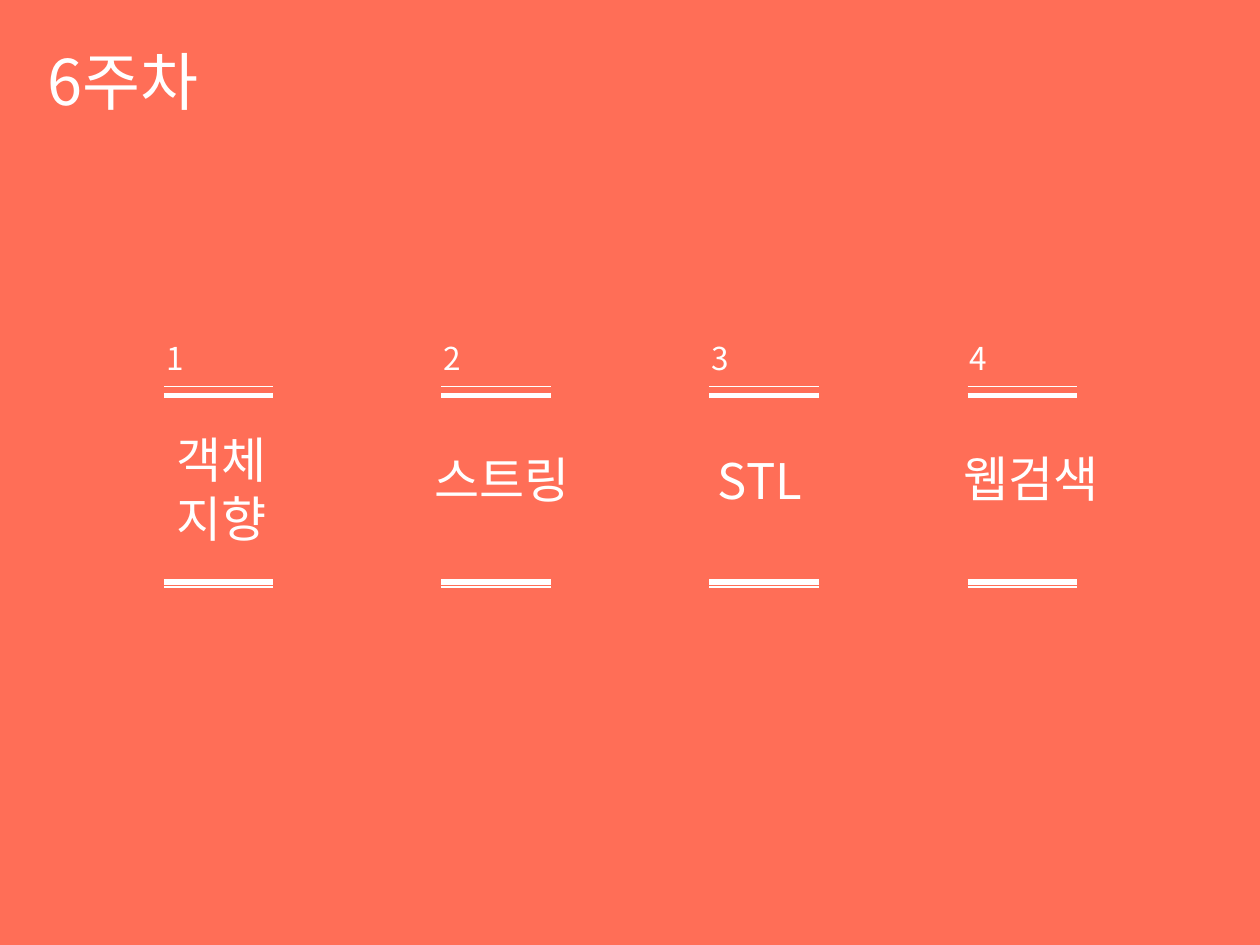
from pptx import Presentation
from pptx.dml.color import RGBColor
from pptx.enum.shapes import MSO_CONNECTOR, MSO_SHAPE
from pptx.enum.text import MSO_ANCHOR, MSO_AUTO_SIZE, PP_ALIGN
from pptx.oxml.ns import qn
from pptx.util import Inches, Pt
from lxml import etree

RECTANGLE = MSO_SHAPE.RECTANGLE
STRAIGHT = MSO_CONNECTOR.STRAIGHT
TOP = MSO_ANCHOR.TOP
LEFT = PP_ALIGN.LEFT
FIT_SHAPE = MSO_AUTO_SIZE.SHAPE_TO_FIT_TEXT

FONT = "Noto Sans CJK KR"
CORAL = "FF6E57"
WHITE = "FFFFFF"


def color(value):
    return RGBColor.from_string(value)


def write_text(box, text, left, top, width, height, size=28, fill=WHITE):
    box.left, box.top = Inches(left), Inches(top)
    box.width, box.height = Inches(width), Inches(height)
    frame = box.text_frame
    frame.word_wrap = True
    frame.auto_size = FIT_SHAPE
    frame.vertical_anchor = TOP
    para = frame.paragraphs[0]
    para.alignment = LEFT
    span = para.add_run()
    span.text = text
    span.font.size = Pt(size)
    span.font.name = FONT
    span.font.color.rgb = color(fill)
    # Korean letters take the East Asian font
    etree.SubElement(span.font._element, qn("a:ea"), typeface=FONT)


deck = Presentation()
deck.slide_width, deck.slide_height = Inches(10), Inches(7.5)
page = deck.slides.add_slide(deck.slide_layouts[5])
shapes = page.shapes

# Coral backdrop, placed behind the title
backdrop = shapes.add_shape(RECTANGLE, 0, 0, deck.slide_width, deck.slide_height)
backdrop.shadow.inherit = False
backdrop.fill.solid()
backdrop.fill.fore_color.rgb = color(CORAL)
backdrop.line.fill.background()
title = shapes.title
title._element.addprevious(backdrop._element)

# Title
write_text(title, "6주차", 0.28, 0.29, 3.39, 0.71, size=36)

# Topics: rule left, text, text left, text top, text width, text height
topics = [
    (1.3, "객체 지향", 1.3, 3.36, 0.98, 1.04),
    (3.5, "스트링", 3.35, 3.52, 1.42, 0.57),
    (5.63, "STL", 5.6, 3.53, 1.26, 0.57),
    (7.68, "웹검색", 7.55, 3.51, 1.5, 0.57),
]
rules = [(3.07, 0.75), (3.14, 3), (4.62, 3), (4.66, 0.75)]
RULE_LENGTH = 0.87

for number, (rule_left, topic, *place) in enumerate(topics, start=1):
    # Number and topic
    write_text(shapes.add_textbox(0, 0, 0, 0), str(number),
               rule_left - 0.08, 2.64, 1.26, 0.4, size=18)
    write_text(shapes.add_textbox(0, 0, 0, 0), topic, *place)

    # Thin and thick rules above and below
    for height, weight in rules:
        rule = shapes.add_connector(
            STRAIGHT, Inches(rule_left), Inches(height),
            Inches(rule_left + RULE_LENGTH), Inches(height))
        rule.line.color.rgb = color(WHITE)
        rule.line.width = Pt(weight)
        etree.SubElement(rule._element.spPr, qn("a:effectLst"))

deck.save("out.pptx")
